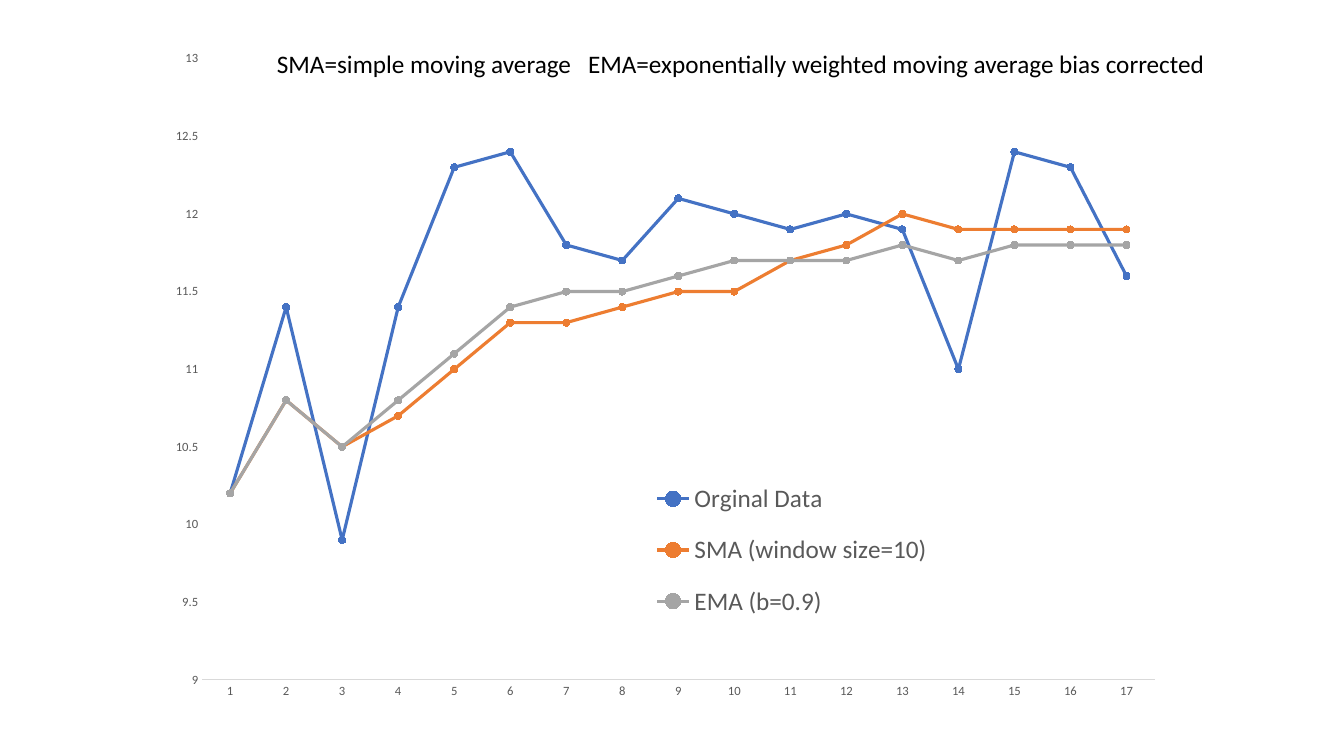
import pptx
import pptx.chart.data
import pptx.dml.color
import pptx.enum.chart
import pptx.oxml
import pptx.oxml.ns
import pptx.util
from pptx.util import Cm, Pt

RGBColor = pptx.dml.color.RGBColor
BLACK = RGBColor(0x00, 0x00, 0x00)
GRAY_TEXT = RGBColor(0x59, 0x59, 0x59)
AXIS_GRAY = RGBColor(0xD9, 0xD9, 0xD9)
BLUE = RGBColor(0x44, 0x72, 0xC4)
ORANGE = RGBColor(0xED, 0x7D, 0x31)
GRAY = RGBColor(0xA5, 0xA5, 0xA5)
FONT = "Calibri"

SERIES = [
    ("Orginal Data", BLUE,
     [10.2, 11.4, 9.9, 11.4, 12.3, 12.4, 11.8, 11.7, 12.1,
      12, 11.9, 12, 11.9, 11, 12.4, 12.3, 11.6]),
    ("SMA (window size=10)", ORANGE,
     [10.2, 10.8, 10.5, 10.7, 11, 11.3, 11.3, 11.4, 11.5,
      11.5, 11.7, 11.8, 12, 11.9, 11.9, 11.9, 11.9]),
    ("EMA (b=0.9)", GRAY,
     [10.2, 10.8, 10.5, 10.8, 11.1, 11.4, 11.5, 11.5, 11.6,
      11.7, 11.7, 11.7, 11.8, 11.7, 11.8, 11.8, 11.8]),
]


def style_font(font, size, color):
    font.name = FONT
    font.size = Pt(size)
    font.color.rgb = color


def place_in_chart(element, index, x, y, width, height, target=""):
    """Give a chart part a manual layout, in percent of the chart area."""
    for old_layout in element.findall(pptx.oxml.ns.qn("c:layout")):
        element.remove(old_layout)
    element.insert(index, pptx.oxml.parse_xml(
        f'<c:layout {pptx.oxml.ns.nsdecls("c")}><c:manualLayout>{target}'
        '<c:xMode val="edge"/><c:yMode val="edge"/>'
        f'<c:x val="{x / 100}"/><c:y val="{y / 100}"/>'
        f'<c:w val="{width / 100}"/><c:h val="{height / 100}"/>'
        '</c:manualLayout></c:layout>'))


deck = pptx.Presentation()
deck.slide_width = Cm(33.87)
deck.slide_height = Cm(19.05)
slide = deck.slides.add_slide(deck.slide_layouts[6])

# Line chart
chart_data = pptx.chart.data.CategoryChartData()
chart_data.categories = [str(number) for number in range(1, 18)]
for name, color, values in SERIES:
    chart_data.add_series(name, values)
chart = slide.shapes.add_chart(
    pptx.enum.chart.XL_CHART_TYPE.LINE_MARKERS,
    Cm(4.01), Cm(1.09), Cm(25.81), Cm(16.87), chart_data).chart
chart.has_title = False
style_font(chart.font, 10, BLACK)

plot = chart.plots[0]
plot.vary_by_categories = False
for line, (name, color, values) in zip(plot.series, SERIES):
    line.smooth = False
    line.format.line.color.rgb = color
    line.format.line.width = Pt(2.25)
    line.marker.style = pptx.enum.chart.XL_MARKER_STYLE.CIRCLE
    line.marker.size = 5
    line.marker.format.fill.solid()
    line.marker.format.fill.fore_color.rgb = color
    line.marker.format.line.color.rgb = color

for axis in (chart.category_axis, chart.value_axis):
    axis.has_major_gridlines = False
    axis.major_tick_mark = pptx.enum.chart.XL_TICK_MARK.NONE
    axis.minor_tick_mark = pptx.enum.chart.XL_TICK_MARK.NONE
    style_font(axis.tick_labels.font, 9, GRAY_TEXT)
chart.category_axis.format.line.color.rgb = AXIS_GRAY
chart.category_axis.format.line.width = Pt(0.75)
chart.value_axis.format.line.fill.background()
chart.value_axis.minimum_scale = 9
chart.value_axis.maximum_scale = 13
chart.value_axis.major_unit = 0.5

chart.has_legend = True
legend = chart.legend
legend.position = pptx.enum.chart.XL_LEGEND_POSITION.RIGHT
legend.include_in_layout = False
style_font(legend.font, 18, GRAY_TEXT)
place_in_chart(legend._element, 1, 47.8, 62.7, 28, 26)
place_in_chart(chart._chartSpace.chart.plotArea, 0, 4.2, 2.3, 93, 92.8,
               '<c:layoutTarget val="inner"/>')

# Caption explaining the abbreviations
caption = slide.shapes.add_textbox(Cm(6.73), Cm(1.09), Cm(24.18), Cm(1.03))
caption.text_frame.word_wrap = True
para = caption.text_frame.paragraphs[0]
para.text = ("SMA=simple moving average\t"
             "EMA=exponentially weighted moving average bias corrected")
para._p.get_or_add_pPr().append(pptx.oxml.parse_xml(
    f'<a:tabLst {pptx.oxml.ns.nsdecls("a")}>'
    f'<a:tab pos="{Cm(7.84)}" algn="l"/></a:tabLst>'))
style_font(para.font, 18, BLACK)

deck.save("out.pptx")
